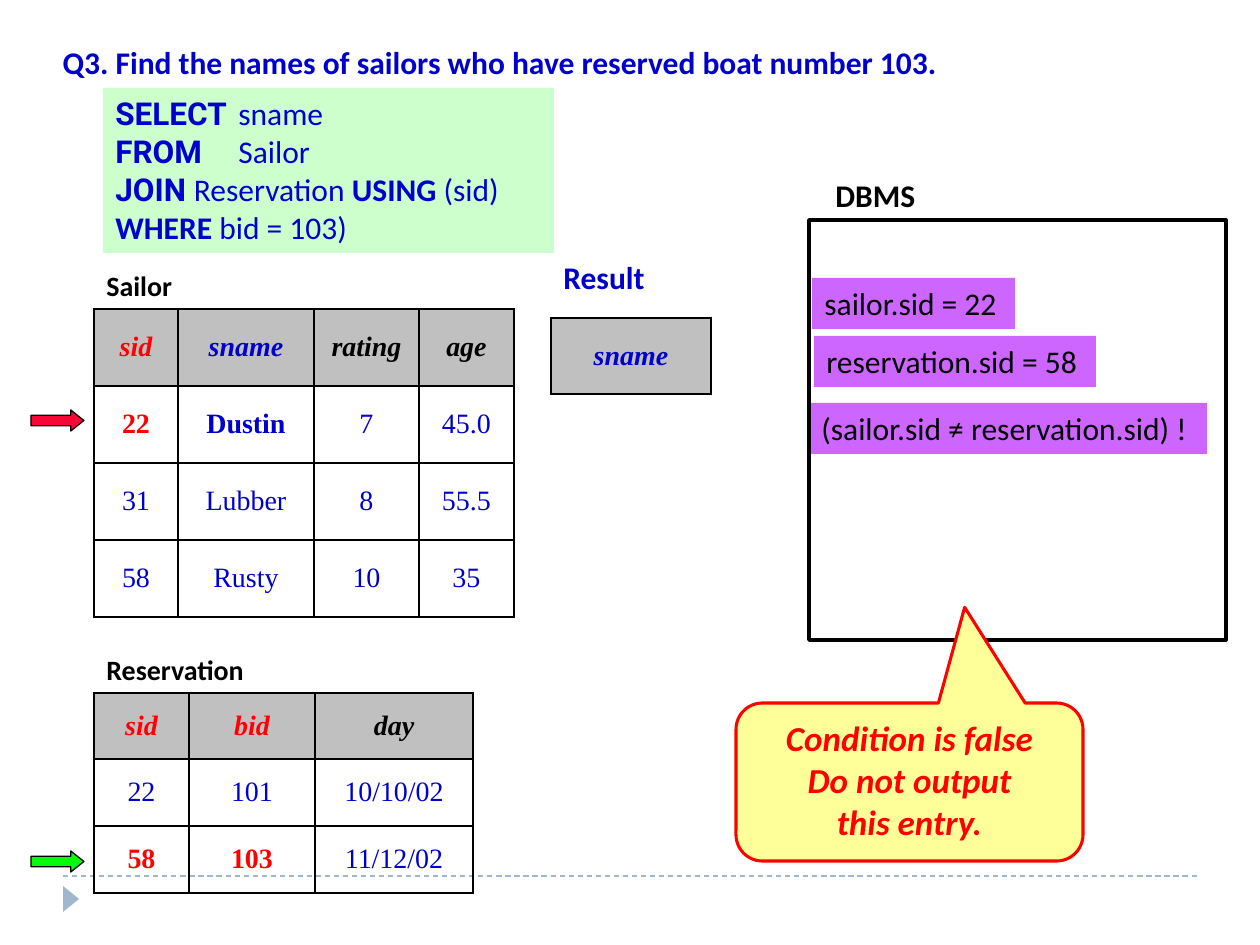
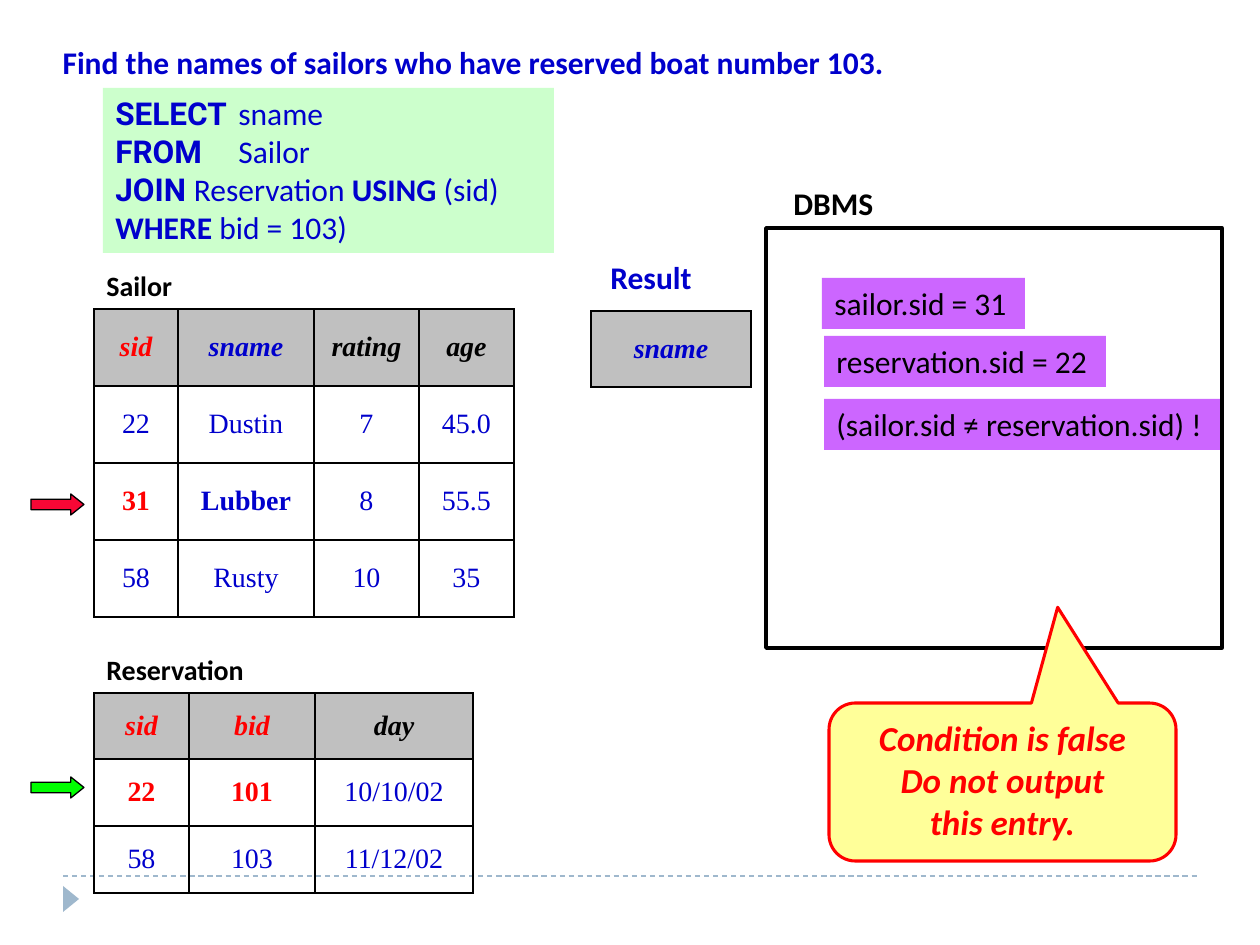
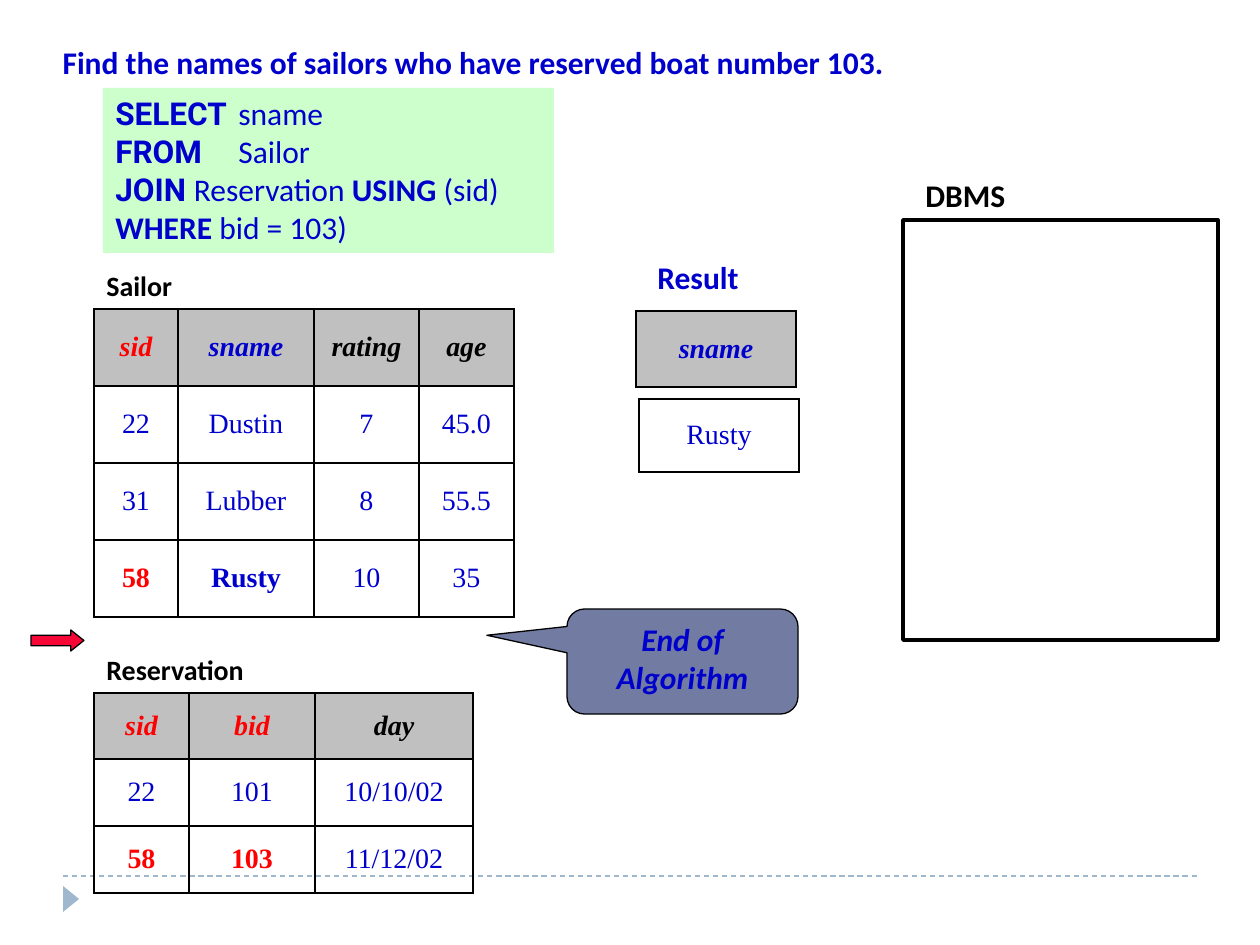
from dataclasses import dataclass

from lxml import etree
from pptx import Presentation
from pptx import util as u
from pptx.dml.color import RGBColor
from pptx.enum import dml, shapes, text
from pptx.oxml.ns import qn


@dataclass(frozen=True)
class Theme:
    blue: str = "0000CC"
    red: str = "FF0000"
    black: str = "000000"
    header: str = "C0C0C0"
    query: str = "CCFFCC"
    variable: str = "CC66FF"
    warning: str = "FFFF99"
    ending: str = "727CA3"
    sailor_arrow: str = "F70735"
    reservation_arrow: str = "00FF00"
    footer: str = "9FB8CD"
    body_font: str = "Calibri"
    keyword_font: str = "Roboto"
    table_font: str = "Times New Roman"
    small: int = 16
    medium: int = 18
    large: int = 20


T = Theme()
PX = u.Inches(1) / 126

QUESTION = "Find the names of sailors who have reserved boat number 103."
# Each run: text, bold, font
QUERY = [
    [("SELECT", True, T.keyword_font), ("\tsname", False, T.body_font)],
    [("FROM", True, T.keyword_font), ("\tSailor", False, T.body_font)],
    [("JOIN ", True, T.keyword_font), ("Reservation ", False, T.body_font),
     ("USING", True, T.body_font), (" (sid)", False, T.body_font)],
    [("WHERE", True, T.body_font), (" bid = 103)", False, T.body_font)],
]
QUERY_TAB = 123

# Column tones colour the header and the cells of the current row
SAILOR = dict(
    name="Sailor", at=(94, 309), widths=[84, 136, 105, 95], heights=[77] * 4,
    tones=[T.red, T.blue, T.black, T.black],
    rows=[["sid", "sname", "rating", "age"], ["22", "Dustin", "7", "45.0"],
          ["31", "Lubber", "8", "55.5"], ["58", "Rusty", "10", "35"]])
RESERVATION = dict(
    name="Reservation", at=(94, 693), widths=[95, 126, 158], heights=[66, 67, 67],
    tones=[T.red, T.red, T.black],
    rows=[["sid", "bid", "day"], ["22", "101", "10/10/02"], ["58", "103", "11/12/02"]])

FALSE_CONDITION = dict(
    lines=["Condition is false", "Do not output", "this entry."], size=T.large,
    color=T.red, fill=T.warning, outline=T.red, weight=1.75, tip=(0.159, -1.106))
END = dict(
    lines=["End of", "Algorithm"], size=T.medium,
    color=T.blue, fill=T.ending, outline=T.black, weight=0.75, tip=(-0.847, -0.25))

STEPS = [
    dict(title="Q3. " + QUESTION, current=(1, 2),
         result_label=551, result=(551, 318), output=None,
         dbms=(809, 220, 417, 420),
         variables=[("sailor.sid = 22", 812, 278, 203),
                    ("reservation.sid = 58", 814, 336, 282),
                    ("(sailor.sid ≠ reservation.sid) !", 809, 403, 398)],
         arrows=[(410, T.sailor_arrow), (851, T.reservation_arrow)],
         callout=FALSE_CONDITION, callout_at=(736, 703, 347, 158)),
    dict(title=QUESTION, current=(2, 1),
         result_label=598, result=(591, 311), output=None,
         dbms=(766, 228, 456, 420),
         variables=[("sailor.sid = 31", 822, 278, 203),
                    ("reservation.sid = 22", 824, 336, 282),
                    ("(sailor.sid ≠ reservation.sid) !", 824, 399, 398)],
         arrows=[(494, T.sailor_arrow), (777, T.reservation_arrow)],
         callout=FALSE_CONDITION, callout_at=(829, 703, 347, 158)),
    dict(title=QUESTION, current=(3, 2),
         result_label=645, result=(636, 311), output=("Rusty", (639, 399)),
         dbms=(903, 220, 315, 420), variables=[],
         arrows=[(630, T.sailor_arrow)],
         callout=END, callout_at=(567, 609, 231, 105)),
]


def px(*lengths):
    return [u.Emu(round(length * PX)) for length in lengths]


def style(font, size, color, name=T.body_font, bold=False, italic=False):
    font.size, font.name, font.bold, font.italic = u.Pt(size), name, bold, italic
    font.color.rgb = RGBColor.from_string(color)


def paint(fill, color):
    if color:
        fill.solid()
        fill.fore_color.rgb = RGBColor.from_string(color)
    else:
        fill.background()


def draw_line(line, color, weight):
    line.color.rgb = RGBColor.from_string(color)
    line.width = u.Pt(weight)


def add_outline(slide, kind, at, fill, outline=None, weight=0.75, adjust=()):
    """Add a preset shape without a shadow; no outline colour means no line."""
    shape = slide.shapes.add_shape(kind, *px(*at))
    shape.shadow.inherit = False
    paint(shape.fill, fill)
    if outline:
        draw_line(shape.line, outline, weight)
    else:
        shape.line.fill.background()
    for index, value in enumerate(adjust):
        shape.adjustments[index] = value
    return shape


def add_label(slide, words, at, size=T.medium, color=T.black, bold=True, fill=None):
    label = slide.shapes.add_textbox(*px(*at))
    label.text_frame.word_wrap = True
    paint(label.fill, fill)
    label.text_frame.text = words
    style(label.text_frame.paragraphs[0].font, size, color, bold=bold)


def add_borders(cell):
    properties = cell._tc.get_or_add_tcPr()
    for side in ("a:lnL", "a:lnR", "a:lnT", "a:lnB"):
        border = etree.SubElement(properties, qn(side), w=str(u.Pt(1)))
        solid = etree.SubElement(border, qn("a:solidFill"))
        etree.SubElement(solid, qn("a:srgbClr"), val=T.black)


def add_grid(slide, rows, at, widths, heights, tones, current=None, header=0):
    """Add a table; header and current are row numbers, or None."""
    grid = slide.shapes.add_table(len(rows), len(widths),
                                  *px(*at, sum(widths), sum(heights))).table
    grid.first_row = grid.horz_banding = False
    for column, width in zip(grid.columns, px(*widths)):
        column.width = width
    for row, height in zip(grid.rows, px(*heights)):
        row.height = height
    for r, values in enumerate(rows):
        for c, (value, tone) in enumerate(zip(values, tones)):
            cell = grid.cell(r, c)
            is_header = r == header
            marked = r == current and tone != T.black
            add_borders(cell)
            paint(cell.fill, T.header if is_header else None)
            cell.vertical_anchor = text.MSO_ANCHOR.MIDDLE
            cell.text = value
            paragraph = cell.text_frame.paragraphs[0]
            paragraph.alignment = text.PP_ALIGN.CENTER
            style(paragraph.font, T.small, tone if is_header or marked else T.blue,
                  T.table_font, is_header or marked, is_header)


def add_relation(slide, relation, current):
    left, top = relation["at"]
    add_label(slide, relation["name"], (left, top - 47, 184, 47), T.small)
    add_grid(slide, relation["rows"], relation["at"], relation["widths"],
             relation["heights"], relation["tones"], current)


def set_title(slide, words):
    title = slide.shapes.title
    title.left, title.top, title.width, title.height = px(50, 37, 1027, 50)
    frame = title.text_frame
    frame.text = words
    frame.auto_size = text.MSO_AUTO_SIZE.NONE
    frame.vertical_anchor = text.MSO_ANCHOR.TOP
    frame.paragraphs[0].alignment = text.PP_ALIGN.LEFT
    style(frame.paragraphs[0].font, T.medium, T.blue, bold=True)


def add_query(slide):
    query = slide.shapes.add_textbox(*px(103, 88, 451, 165))
    paint(query.fill, T.query)
    frame = query.text_frame
    frame.word_wrap = True
    for index, runs in enumerate(QUERY):
        paragraph = frame.add_paragraph() if index else frame.paragraphs[0]
        tabs = etree.SubElement(paragraph._p.get_or_add_pPr(), qn("a:tabLst"))
        etree.SubElement(tabs, qn("a:tab"), pos=str(px(QUERY_TAB)[0]), algn="l")
        for words, bold, font in runs:
            run = paragraph.add_run()
            run.text = words
            style(run.font, T.medium, T.blue, font, bold)


def add_result(slide, step):
    add_label(slide, "Result", (step["result_label"], 252, 122, 50), color=T.blue)
    add_grid(slide, [["sname"]], step["result"], [160], [76], [T.blue])
    if step["output"]:
        name, at = step["output"]
        add_grid(slide, [[name]], at, [160], [73], [T.blue], header=None)


def add_dbms(slide, step):
    for words, left, top, width in step["variables"]:
        add_label(slide, words, (left, top, width, 51), bold=False, fill=T.variable)
    left, top, width, _ = step["dbms"]
    add_outline(slide, shapes.MSO_SHAPE.RECTANGLE, step["dbms"], None, T.black, 2)
    add_label(slide, "DBMS", (left + round(width / 30), top - 50, 136, 50))


def add_callout(slide, callout, at):
    bubble = add_outline(slide, shapes.MSO_SHAPE.ROUNDED_RECTANGULAR_CALLOUT, at,
                         callout["fill"], callout["outline"], callout["weight"],
                         (*callout["tip"], 0.167))
    frame = bubble.text_frame
    frame.vertical_anchor = text.MSO_ANCHOR.TOP
    frame.text = "\n".join(callout["lines"])
    for paragraph in frame.paragraphs:
        paragraph.alignment = text.PP_ALIGN.CENTER
        style(paragraph.font, callout["size"], callout["color"], bold=True, italic=True)


def move_footer_to_layout(slide):
    """Draw the footer marks once and hand them to the shared layout."""
    rule = slide.shapes.add_connector(shapes.MSO_CONNECTOR.STRAIGHT,
                                      *px(63, 876, 1197, 876))
    draw_line(rule.line, T.footer, 0.75)
    rule.line.dash_style = dml.MSO_LINE.DASH
    etree.SubElement(rule.element.spPr, qn("a:effectLst"))
    marker = add_outline(slide, shapes.MSO_SHAPE.ISOSCELES_TRIANGLE,
                         (58, 891, 26, 16), T.footer)
    marker.rotation = 90
    for mark in (rule, marker):
        slide.slide_layout.shapes.element.append(mark.element)


def add_step(slide, step):
    set_title(slide, step["title"])
    for relation, current in zip((SAILOR, RESERVATION), step["current"]):
        add_relation(slide, relation, current)
    add_query(slide)
    add_result(slide, step)
    add_dbms(slide, step)
    for top, color in step["arrows"]:
        add_outline(slide, shapes.MSO_SHAPE.RIGHT_ARROW, (31, top, 53, 21),
                    color, T.black, adjust=(0.5, 0.625))
    add_callout(slide, step["callout"], step["callout_at"])


def main():
    deck = Presentation()
    deck.slide_width, deck.slide_height = px(1260, 945)
    title_only = deck.slide_layouts[5]
    for index, step in enumerate(STEPS):
        slide = deck.slides.add_slide(title_only)
        if index == 0:
            move_footer_to_layout(slide)
        add_step(slide, step)
    deck.save("out.pptx")


if __name__ == "__main__":
    main()
